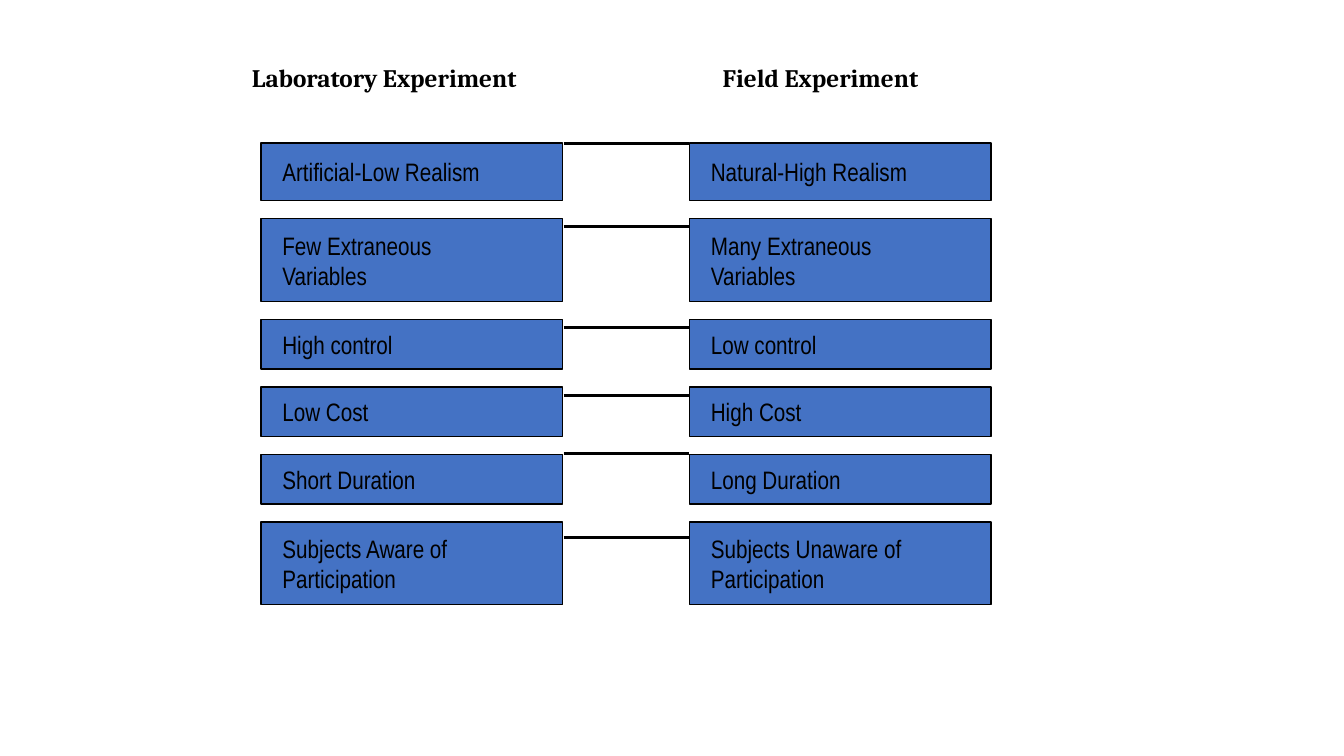
from dataclasses import dataclass

from lxml.etree import SubElement
from pptx import Presentation
from pptx.dml.color import RGBColor
from pptx.enum.shapes import MSO_CONNECTOR, MSO_SHAPE
from pptx.enum.text import MSO_ANCHOR, MSO_AUTO_SIZE, PP_ALIGN
from pptx.oxml.ns import qn
from pptx.slide import Slide
from pptx.text.text import TextFrame
from pptx.util import Inches, Pt


@dataclass(frozen=True)
class Theme:
    box_fill: RGBColor = RGBColor(0x44, 0x72, 0xC4)
    ink: RGBColor = RGBColor(0, 0, 0)
    heading_font: str = "Cambria"
    body_font: str = "Arial Narrow"
    text_size: Pt = Pt(18)
    box_line: Pt = Pt(1)
    link_line: Pt = Pt(2)


@dataclass(frozen=True)
class Heading:
    text: str
    left: float
    width: float


@dataclass(frozen=True)
class Contrast:
    laboratory: str
    field: str
    height: float
    link_y: float


THEME = Theme()
LABORATORY_LEFT, FIELD_LEFT = 2.59, 6.84
BOX_WIDTH = 2.99
FIRST_TOP, ROW_GAP = 1.42, 0.18
LINK_START, LINK_END = 5.59, 6.83

HEADINGS = [
    Heading("Laboratory Experiment", 2.4, 2.91),
    Heading("Field Experiment", 7.07, 2.2),
]
CONTRASTS = [
    Contrast("Artificial-Low Realism", "Natural-High Realism", 0.57, 1.42),
    Contrast("Few Extraneous\nVariables", "Many Extraneous\nVariables", 0.82, 2.25),
    Contrast("High control", "Low control", 0.49, 3.25),
    Contrast("Low Cost", "High Cost", 0.49, 3.92),
    Contrast("Short Duration", "Long Duration", 0.49, 4.5),
    Contrast("Subjects Aware of\nParticipation", "Subjects Unaware of\nParticipation", 0.82, 5.33),
]


def write_text(frame: TextFrame, text: str, font_name: str, bold: bool = False) -> None:
    frame.text = text
    for paragraph in frame.paragraphs:
        paragraph.alignment = PP_ALIGN.LEFT
        paragraph.font.name = font_name
        paragraph.font.size = THEME.text_size
        paragraph.font.bold = bold
        paragraph.font.color.rgb = THEME.ink


def add_heading(slide: Slide, heading: Heading) -> None:
    box = slide.shapes.add_textbox(
        Inches(heading.left), Inches(0.57), Inches(heading.width), Inches(0.4)
    )
    box.text_frame.word_wrap = False
    box.text_frame.auto_size = MSO_AUTO_SIZE.SHAPE_TO_FIT_TEXT
    write_text(box.text_frame, heading.text, THEME.heading_font, bold=True)


def add_trait(slide: Slide, text: str, left: float, top: float, height: float) -> None:
    box = slide.shapes.add_shape(
        MSO_SHAPE.RECTANGLE, Inches(left), Inches(top), Inches(BOX_WIDTH), Inches(height)
    )
    box.shadow.inherit = False
    box.fill.solid()
    box.fill.fore_color.rgb = THEME.box_fill
    box.line.color.rgb = THEME.ink
    box.line.width = THEME.box_line
    frame = box.text_frame
    frame.word_wrap = True
    frame.vertical_anchor = MSO_ANCHOR.MIDDLE
    frame.margin_left = frame.margin_right = Inches(0.21)
    write_text(frame, text, THEME.body_font)


def add_link(slide: Slide, y: float) -> None:
    link = slide.shapes.add_connector(
        MSO_CONNECTOR.STRAIGHT, Inches(LINK_START), Inches(y), Inches(LINK_END), Inches(y)
    )
    link.line.color.rgb = THEME.ink
    link.line.width = THEME.link_line
    SubElement(link._element.spPr, qn("a:effectLst"))


def main() -> None:
    presentation = Presentation()
    presentation.slide_width = Inches(13.33)
    presentation.slide_height = Inches(7.5)
    slide = presentation.slides.add_slide(presentation.slide_layouts.get_by_name("Blank"))

    # Column headings
    for heading in HEADINGS:
        add_heading(slide, heading)

    # Paired traits, joined row by row
    top = FIRST_TOP
    for contrast in CONTRASTS:
        add_trait(slide, contrast.laboratory, LABORATORY_LEFT, top, contrast.height)
        add_trait(slide, contrast.field, FIELD_LEFT, top, contrast.height)
        add_link(slide, contrast.link_y)
        top += contrast.height + ROW_GAP

    presentation.save("out.pptx")


if __name__ == "__main__":
    main()
